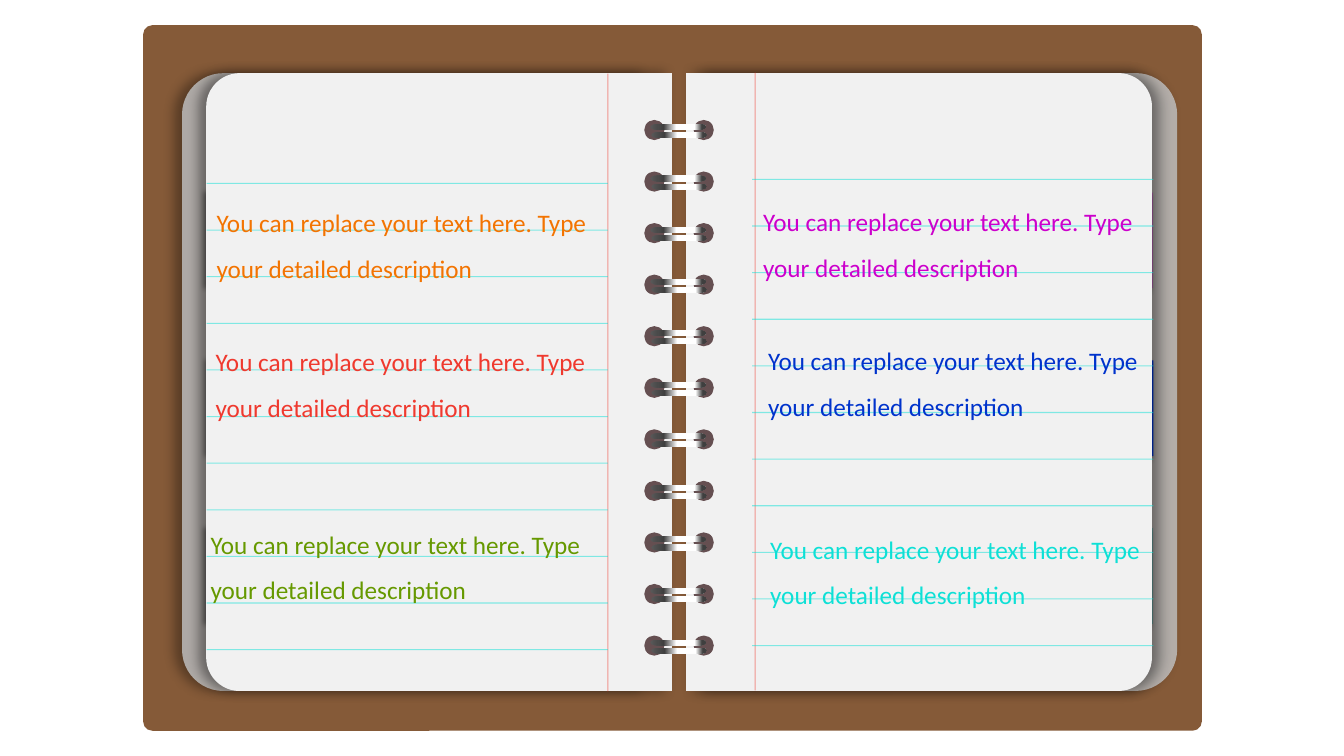
from lxml import etree
from pptx import Presentation
from pptx.dml.color import RGBColor
from pptx.enum.shapes import MSO_CONNECTOR, MSO_SHAPE
from pptx.enum.text import MSO_AUTO_SIZE
from pptx.oxml.ns import qn
from pptx.util import Inches, Pt

ROUND_RECT = MSO_SHAPE.ROUNDED_RECTANGLE
PAGE = MSO_SHAPE.ROUND_2_SAME_RECTANGLE
RECT = MSO_SHAPE.RECTANGLE
OVAL = MSO_SHAPE.OVAL
WIRE = MSO_SHAPE.FLOWCHART_TERMINATOR
STRAIGHT = MSO_CONNECTOR.STRAIGHT
GROW = MSO_AUTO_SIZE.SHAPE_TO_FIT_TEXT

COLORS = {
    "cover": "855A38", "backing": "BFBFBF", "paper": "F1F1F1",
    "orange": "F37401", "red": "EF392E", "green": "669900",
    "purple": "CC00CC", "blue": "0033CC", "teal": "009999",
    "aqua": "0EE0D6", "hole": "654F51", "shadow": "000000",
    "steel": "595959", "dark": "3F3F3F", "shine": "FFFFFF",
}
WIRE_STOPS = [(0, "steel"), (24, "dark"), (47, "shine"),
              (80, "shine"), (93, "dark"), (100, "dark")]
TEXT = "You can replace your text here. Type your detailed description"


def add_box(shapes, kind, x, y, w, h, color, shadow=None):
    sp = shapes.add_shape(kind, Inches(x), Inches(y), Inches(w), Inches(h))
    sp.fill.solid()
    sp.fill.fore_color.rgb = RGBColor.from_string(COLORS[color])
    sp.line.fill.background()
    sp.shadow.inherit = False
    if shadow:
        blur, dist, angle = shadow
        effects = sp._element.spPr.find(qn("a:effectLst"))
        outer = etree.SubElement(
            effects, qn("a:outerShdw"), blurRad=str(Pt(blur)), dist=str(Pt(dist)),
            dir=str(angle * 60000), algn="ctr", rotWithShape="0")
        clr = etree.SubElement(outer, qn("a:srgbClr"), val=COLORS["shadow"])
        etree.SubElement(clr, qn("a:alpha"), val="40000")
    return sp


def add_rule(shapes, x1, y1, x2, y2, color):
    line = shapes.add_connector(STRAIGHT, Inches(x1), Inches(y1), Inches(x2), Inches(y2))
    line.line.width = Pt(0.75)
    line.line.color.rgb = RGBColor.from_string(COLORS[color])
    spPr = line._element.spPr
    etree.SubElement(next(spPr.iter(qn("a:srgbClr"))), qn("a:alpha"), val="50000")
    etree.SubElement(spPr, qn("a:effectLst"))


prs = Presentation()
prs.slide_width = Inches(13.33)
prs.slide_height = Inches(7.5)
slide = prs.slides.add_slide(prs.slide_layouts[6])

cover = add_box(slide.shapes, ROUND_RECT, 1.42, 0.25, 10.5, 7, "cover")
cover.adjustments[0] = 0.013

for x, rotation in [(1.05, 270), (6.3, 90)]:
    backing = add_box(slide.shapes, PAGE, x, 1.48, 6.13, 4.62, "backing", (8, 5, 180))
    backing.rotation = rotation
    backing.adjustments[0] = 0.089
    clr = next(backing._element.spPr.iter(qn("a:srgbClr")))
    etree.SubElement(clr, qn("a:alpha"), val="84000")

for x, top, names in [(2.05, 1.88, ["orange", "red", "green"]),
                      (9.95, 1.91, ["purple", "blue", "teal"])]:
    for i, name in enumerate(names):
        nudge = 0.01 if i == 1 else 0
        add_box(slide.shapes, RECT, x + nudge, top + i * 1.665, 1.48, 0.95, name, (4, 3, 135))

for x, rotation, shadow, margin, top, left, right, first in [
        (1.29, 270, (8, 5, 180), 6.03, 0.73, 2.05, 6.03, 1.82),
        (6.05, 90, (9, 5, 0), 7.49, 0.72, 7.46, 11.44, 1.78)]:
    page = slide.shapes.add_group_shape().shapes
    paper = add_box(page, PAGE, x, 1.48, 6.13, 4.62, "paper", shadow)
    paper.rotation = rotation
    paper.adjustments[0] = 0.072
    add_rule(page, margin, top, margin, top + 6.13, "red")
    for i in range(11):
        y = first + i * 0.4625
        add_rule(page, right, y, left, y, "aqua")

rings = slide.shapes.add_group_shape().shapes
for i in range(11):
    y = 1.19 + i * 0.5115
    for x in (6.88, 6.39):
        add_box(rings, OVAL, x, y, 0.2, 0.2, "hole")
    for x, drop in [(6.45, 0.04), (6.46, 0.12)]:
        wire = add_box(rings, WIRE, x, y + drop, 0.55, 0.06, "steel")
        wire.fill.gradient()
        wire.fill.gradient_angle = 0
        stops = next(wire._element.spPr.iter(qn("a:gsLst")))
        for old in list(stops):
            stops.remove(old)
        for pos, color in WIRE_STOPS:
            stop = etree.SubElement(stops, qn("a:gs"), pos=str(pos * 1000))
            etree.SubElement(stop, qn("a:srgbClr"), val=COLORS[color])

for x, y, color in [(2.05, 1.86, "orange"), (2.04, 3.24, "red"), (1.99, 5.05, "green"),
                    (7.47, 1.85, "purple"), (7.52, 3.23, "blue"), (7.54, 5.1, "aqua")]:
    tf = slide.shapes.add_textbox(Inches(x), Inches(y), Inches(4.32), Inches(0.97)).text_frame
    tf.word_wrap = True
    tf.auto_size = GROW
    p = tf.paragraphs[0]
    p.text = TEXT
    p.line_spacing = 1.5
    p.font.size = Pt(18)
    p.font.name = "Calibri"
    p.font.color.rgb = RGBColor.from_string(COLORS[color])

prs.save("out.pptx")
